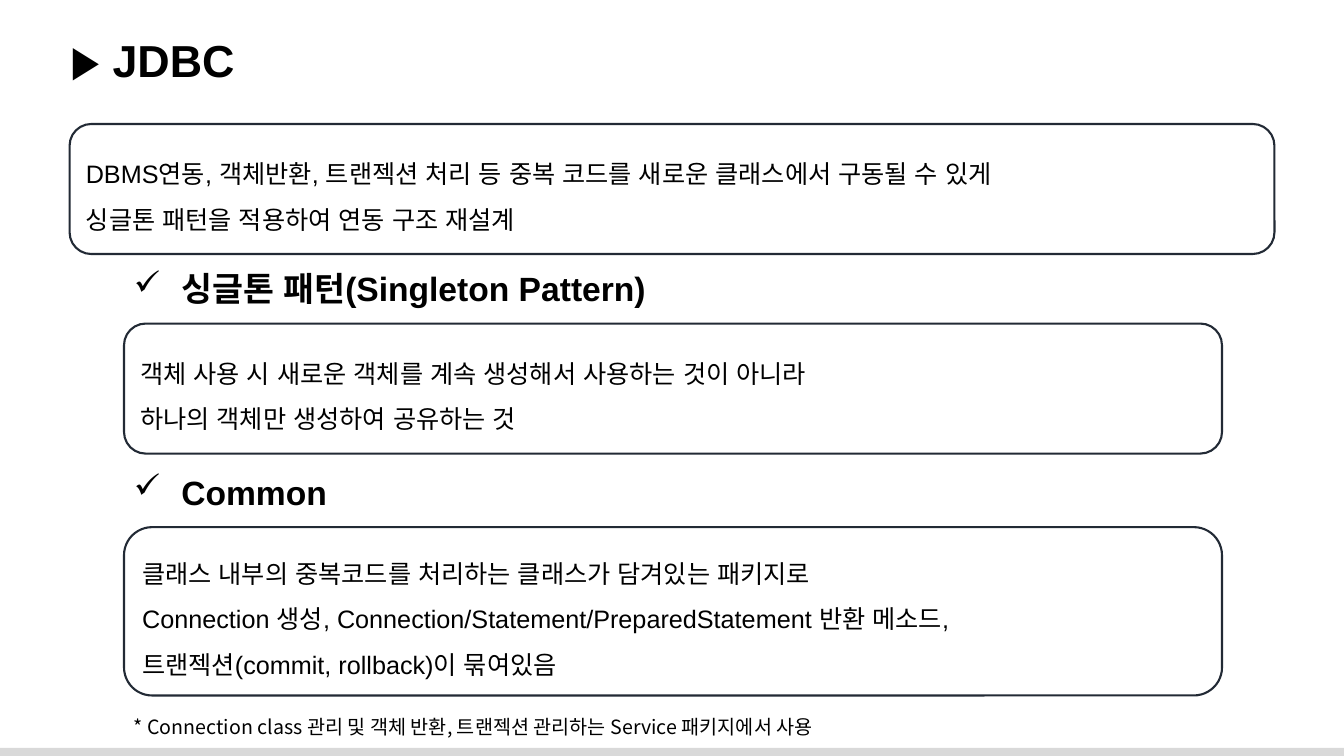
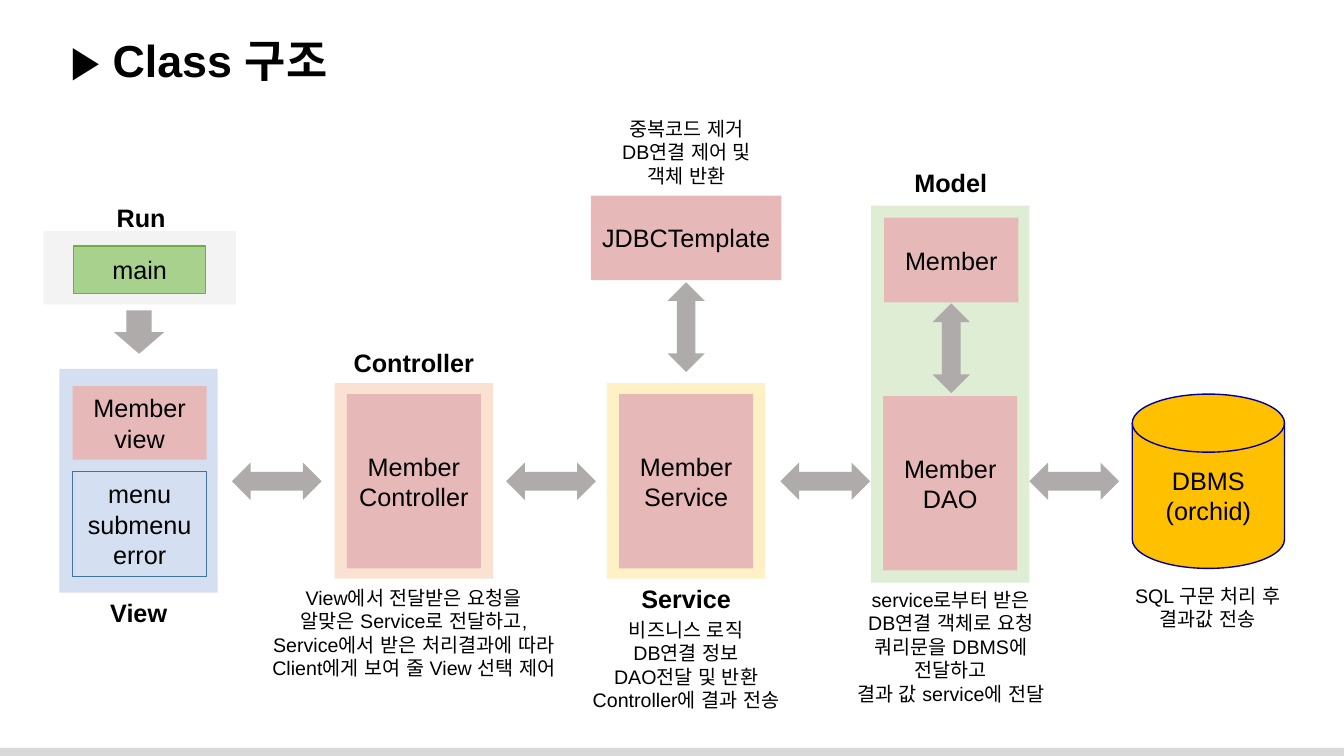
from lxml import etree
from pptx import Presentation
from pptx.dml.color import RGBColor
from pptx.enum.shapes import MSO_SHAPE
from pptx.enum.text import MSO_ANCHOR, MSO_AUTO_SIZE, PP_ALIGN
from pptx.oxml.ns import qn
from pptx.util import Inches, Pt

RECT = MSO_SHAPE.RECTANGLE
ROUNDED = MSO_SHAPE.ROUNDED_RECTANGLE
CYLINDER = MSO_SHAPE.FLOWCHART_MAGNETIC_DISK
DOUBLE_ARROW = MSO_SHAPE.LEFT_RIGHT_ARROW
DOWN_ARROW = MSO_SHAPE.DOWN_ARROW
MIDDLE, TOP = MSO_ANCHOR.MIDDLE, MSO_ANCHOR.TOP
LEFT, CENTER = PP_ALIGN.LEFT, PP_ALIGN.CENTER
GROW = MSO_AUTO_SIZE.SHAPE_TO_FIT_TEXT

COLORS = {
    "text": "000000", "band": "D9D9D9", "frame": "222A35", "arrow": "AFABAB",
    "class": "E6B9B8", "main": "A9D18E", "main_line": "70AD47",
    "menu_line": "43739E", "database": "FFC000", "database_line": "000099",
    "run": "EAEAEA", "view": "B4C7E7", "controller": "F8CBAD",
    "service": "FFE699", "model": "C5E0B4",
}
FONT, NOTE_FONT = "Arial", "Noto Sans CJK KR"
TITLE_SIZE, HEADING_SIZE, BODY_SIZE, NOTE_SIZE = 32, 24, 18, 14
PANEL_WIDTH, CLASS_WIDTH, CLASS_INSET = 1.57, 1.33, 0.12
ARROW_LENGTH, ARROW_WIDTH = 0.89, 0.37


def color(name):
    return RGBColor.from_string(COLORS[name])


class Deck:
    """Holds the shared style and the slide being filled."""

    def __init__(self):
        self.presentation = Presentation()
        self.presentation.slide_width = Inches(13.33)
        self.presentation.slide_height = Inches(7.5)
        self.slide = None

    def new_slide(self, title):
        layout = self.presentation.slide_layouts[6]
        self.slide = self.presentation.slides.add_slide(layout)
        self.shape(RECT, 0, 7.42, 13.33, 0.08, fill="band")
        self.text(0.6, 0.28, 12.6, 0.64, ["▶ " + title], TITLE_SIZE,
                  bold=True, align=LEFT)

    def fill_text(self, frame, lines, size=BODY_SIZE, bold=False, align=CENTER,
                  spacing=None, font=FONT):
        for number, line in enumerate(lines):
            paragraph = frame.add_paragraph() if number else frame.paragraphs[0]
            paragraph.text = line
            paragraph.alignment = align
            paragraph.line_spacing = spacing
            paragraph.font.size = Pt(size)
            paragraph.font.bold = bold
            paragraph.font.name = font
            paragraph.font.color.rgb = color("text")
            defaults = paragraph._p.pPr.find(qn("a:defRPr"))
            etree.SubElement(defaults, qn("a:ea"), typeface=font)

    def text(self, x, y, width, height, lines, size=NOTE_SIZE, wrap=True, **style):
        box = self.slide.shapes.add_textbox(
            Inches(x), Inches(y), Inches(width), Inches(height))
        frame = box.text_frame
        frame.word_wrap = wrap
        frame.auto_size = GROW
        frame.vertical_anchor = TOP
        self.fill_text(frame, lines, size, **style)
        return frame

    def shape(self, kind, x, y, width, height, lines=(), fill=None, line=None,
              line_width=1, **style):
        shape = self.slide.shapes.add_shape(
            kind, Inches(x), Inches(y), Inches(width), Inches(height))
        shape.shadow.inherit = False
        if fill:
            shape.fill.solid()
            shape.fill.fore_color.rgb = color(fill)
        else:
            shape.fill.background()
        if line:
            shape.line.color.rgb = color(line)
            shape.line.width = Pt(line_width)
        else:
            shape.line.fill.background()
        shape.text_frame.word_wrap = True
        shape.text_frame.vertical_anchor = MIDDLE
        self.fill_text(shape.text_frame, lines, **style)
        return shape

    def framed(self, x, y, width, height, lines):
        self.shape(ROUNDED, x, y, width, height, lines, line="frame",
                   line_width=1.5, align=LEFT, spacing=1.5)

    def check_heading(self, y, width, heading):
        frame = self.text(1.23, y, width, 0.5, [heading], HEADING_SIZE,
                          wrap=False, bold=True, align=LEFT)
        properties = frame.paragraphs[0]._p.pPr
        properties.set("marL", str(Inches(0.47)))
        properties.set("indent", str(-Inches(0.47)))
        bullet = etree.Element(qn("a:buChar"), char="✓")
        properties.find(qn("a:defRPr")).addprevious(bullet)

    def label(self, x, y, width, name):
        self.text(x, y, width, 0.4, [name], BODY_SIZE, bold=True)

    def panel(self, x, y, height, fill, width=PANEL_WIDTH):
        """Draw a translucent package area."""
        area = self.shape(RECT, x, y, width, height, fill=fill)
        tint = area._element.spPr.find(qn("a:solidFill"))[0]
        etree.SubElement(tint, qn("a:alpha"), val="56000")

    def class_box(self, x, y, height, lines, width=CLASS_WIDTH):
        self.shape(RECT, x, y, width, height, lines, fill="class")

    def double_arrow(self, x, y, rotation=0):
        arrow = self.shape(DOUBLE_ARROW, x, y, ARROW_LENGTH, ARROW_WIDTH,
                           fill="arrow")
        arrow.rotation = rotation


def add_jdbc(deck):
    deck.new_slide("JDBC")
    deck.framed(0.69, 1.23, 11.95, 1.29, [
        "DBMS연동, 객체반환, 트랜젝션 처리 등 중복 코드를 새로운 클래스에서 구동될 수 있게",
        "싱글톤 패턴을 적용하여 연동 구조 재설계"])
    sections = [
        (2.61, 5.55, "싱글톤 패턴(Singleton Pattern)", 1.29, [
            "객체 사용 시 새로운 객체를 계속 생성해서 사용하는 것이 아니라",
            "하나의 객체만 생성하여 공유하는 것"]),
        (4.63, 2.16, "Common", 1.67, [
            "클래스 내부의 중복코드를 처리하는 클래스가 담겨있는 패키지로",
            "Connection 생성, Connection/Statement/PreparedStatement 반환 메소드,",
            "트랜젝션(commit, rollback)이 묶여있음"]),
    ]
    for y, heading_width, heading, height, lines in sections:
        deck.check_heading(y, heading_width, heading)
        deck.framed(1.23, y + 0.6, 10.89, height, lines)
    deck.text(1.23, 6.93, 7.47, 0.41, [
        "* Connection class 관리 및 객체 반환, 트랜젝션 관리하는 Service 패키지에서 사용"],
        wrap=False, align=LEFT, spacing=1.5, font=NOTE_FONT)


def add_class_structure(deck):
    deck.new_slide("Class 구조")

    deck.panel(0.43, 2.29, 0.73, "run", width=1.91)
    deck.shape(RECT, 0.73, 2.44, 1.31, 0.47, ["main"],
               fill="main", line="main_line")
    deck.shape(DOWN_ARROW, 1.13, 3.08, 0.5, 0.43, fill="arrow")

    deck.panel(0.59, 3.66, 2.22, "view")
    deck.class_box(0.72, 3.83, 0.73, ["Member view"])
    deck.shape(RECT, 0.72, 4.68, CLASS_WIDTH, 1.04,
               ["menu", "submenu", "error"], line="menu_line")

    for x, name in ((3.32, "Controller"), (6.02, "Service")):
        deck.panel(x, 3.8, 1.94, name.lower())
        deck.class_box(x + CLASS_INSET, 3.91, 1.73, ["Member", name])
    deck.class_box(5.86, 1.94, 0.84, ["JDBCTemplate"], width=1.89)

    deck.panel(8.64, 2.04, 3.74, "model")
    deck.class_box(8.77, 2.16, 0.84, ["Member"])
    deck.class_box(8.76, 3.93, 1.73, ["Member", "DAO"])

    deck.shape(CYLINDER, 11.23, 3.91, 1.51, 1.73, ["DBMS", "(orchid)"],
               fill="database", line="database_line")

    for x in (2.3, 5.02, 7.74, 10.21):
        deck.double_arrow(x, 4.59)
    for x, y in ((6.36, 3.06), (8.99, 3.27)):
        deck.double_arrow(x, y, rotation=90)

    for x, y, width, name in (
            (1.05, 1.96, 0.7, "Run"), (0.97, 5.88, 0.81, "View"),
            (3.35, 3.4, 1.51, "Controller"), (6.23, 5.74, 1.15, "Service"),
            (8.94, 1.61, 0.98, "Model")):
        deck.label(x, y, width, name)

    descriptions = [
        (5.95, 1.11, 1.72, 0.81, ["중복코드 제거", "DB연결 제어 및", "객체 반환"]),
        (2.39, 5.76, 3.43, 1.04, [
            "View에서 전달받은 요청을", "알맞은 Service로 전달하고,",
            "Service에서 받은 처리결과에 따라",
            "Client에게 보여 줄 View 선택 제어"]),
        (5.7, 6.08, 2.21, 1.04, [
            "비즈니스 로직", "DB연결 정보", "DAO전달 및 반환",
            "Controller에 결과 전송"]),
        (8.27, 5.78, 2.32, 1.28, [
            "service로부터 받은", "DB연결 객체로 요청", "쿼리문을 DBMS에",
            "전달하고", "결과 값 service에 전달"]),
        (11.05, 5.74, 1.86, 0.57, ["SQL 구문 처리 후 결과값 전송"]),
    ]
    for x, y, width, height, lines in descriptions:
        deck.text(x, y, width, height, lines)


def main():
    deck = Deck()
    add_jdbc(deck)
    add_class_structure(deck)
    deck.presentation.save("out.pptx")


if __name__ == "__main__":
    main()
